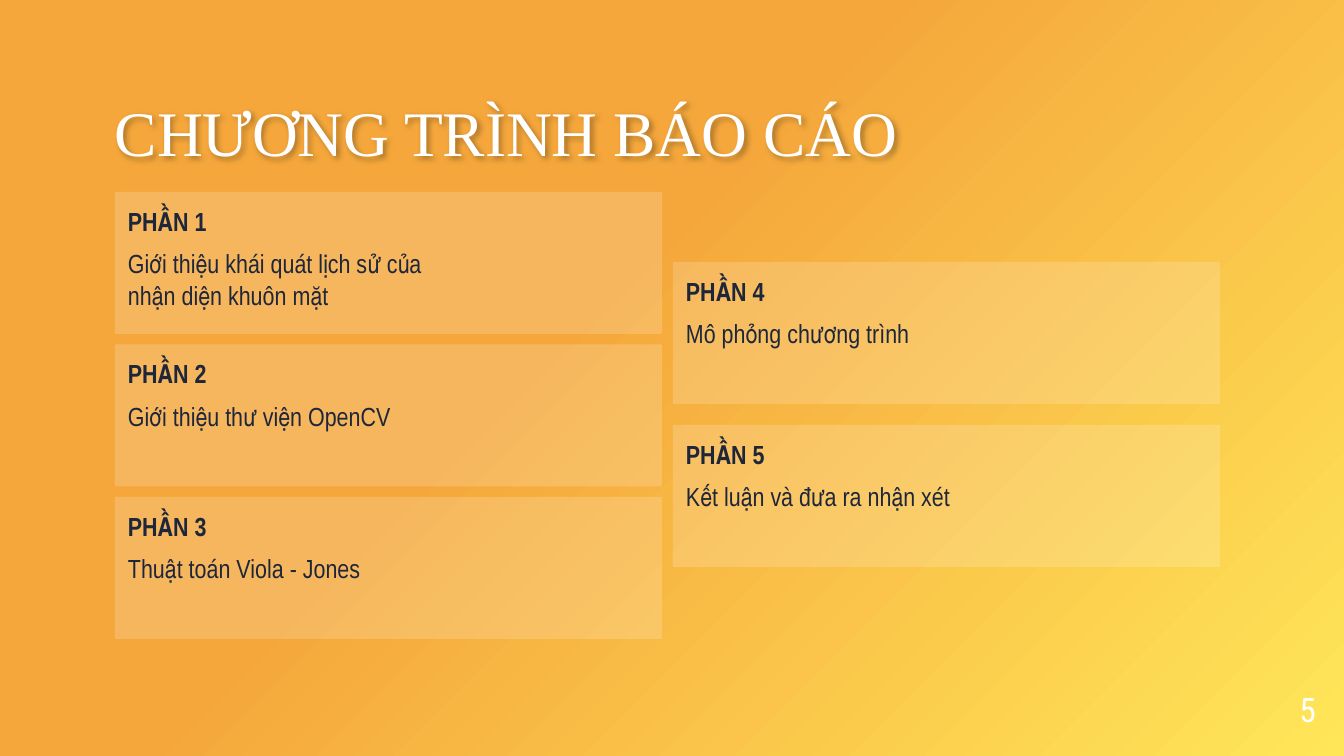
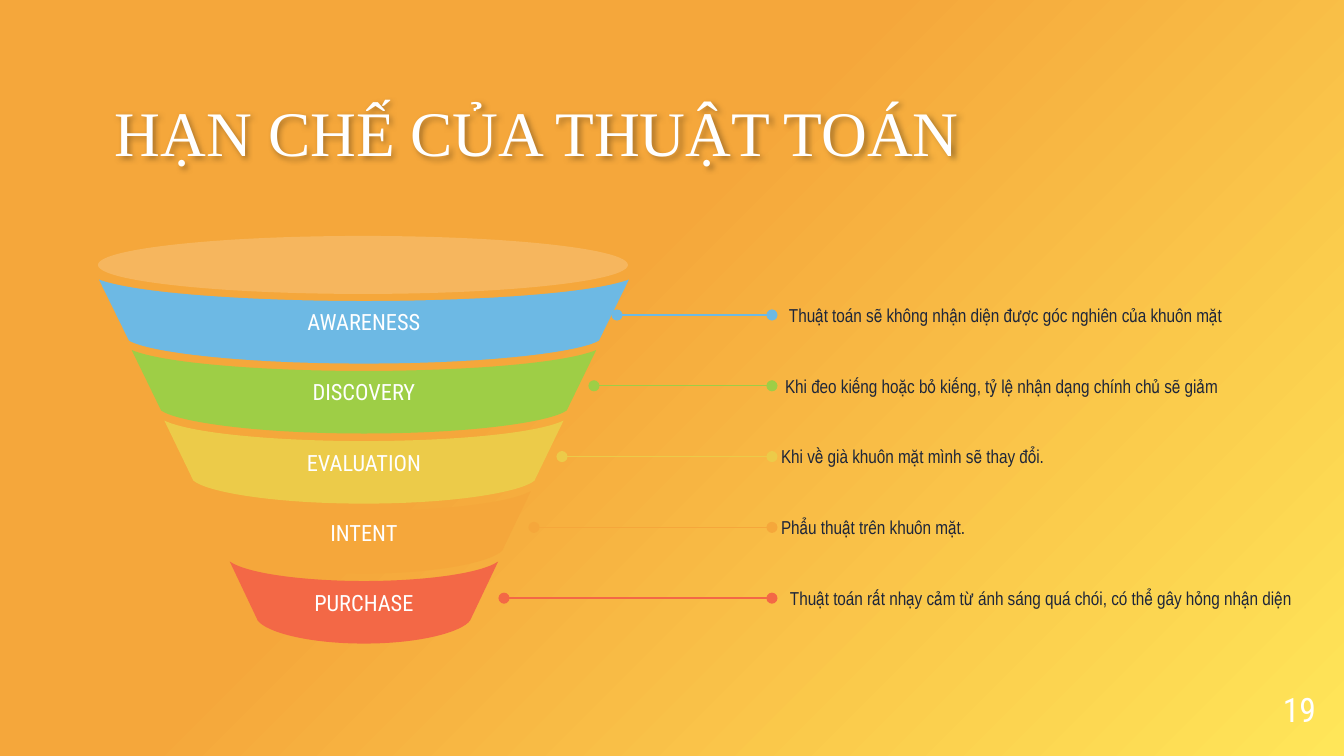
import pptx
import pptx.dml.color
import pptx.enum.shapes
import pptx.enum.text
import pptx.oxml
import pptx.oxml.ns
import pptx.util

SCALE = 914400 / 134.4  # EMU in one px
COLORS = {
    "white": "FFFFFF",
    "ink": "1E263A",
    "shadow": "000000",
    "orange": "F5A73B",
    "yellow": "FFE659",
    "blue": "6DB9E4",
    "green": "9ECE46",
    "gold": "ECCB49",
    "red": "F36846",
}
TITLE_FONT, TEXT_FONT, LABEL_FONT = "Times New Roman", "Arial Narrow", "Roboto Condensed"
TITLE_BOX = (115, 91, 1116, 79)
NUMBER_BOX = (1236, 683, 80, 47)
VEIL = 18  # opacity of the white panels, percent

SECTIONS = [
    ("PHẦN 1", "Giới thiệu khái quát lịch sử của nhận diện khuôn mặt"),
    ("PHẦN 2", "Giới thiệu thư viện OpenCV"),
    ("PHẦN 3", "Thuật toán Viola - Jones"),
    ("PHẦN 4", "Mô phỏng chương trình"),
    ("PHẦN 5", "Kết luận và đưa ra nhận xét"),
]
# Band name, colour, start of its leader, indent and width of its note, note
STAGES = [
    ("AWARENESS", "blue", 617, 8, 499,
     "Thuật toán sẽ không nhận diện được góc nghiên của khuôn mặt"),
    ("DISCOVERY", "green", 594, 4, 499,
     "Khi đeo kiếng hoặc bỏ kiếng, tỷ lệ nhận dạng chính chủ sẽ giảm"),
    ("EVALUATION", "gold", 562, 0, 410, "Khi về già khuôn mặt mình sẽ thay đổi."),
    ("INTENT", "orange", 534, 0, 410, "Phẩu thuật trên khuôn mặt."),
    ("PURCHASE", "red", 504, 9, 562,
     "Thuật toán rất nhạy cảm từ ánh sáng quá chói, có thể gây hỏng nhận diện"),
]

ALIGN = pptx.enum.text.PP_ALIGN
ANCHOR = pptx.enum.text.MSO_ANCHOR
SHAPE = pptx.enum.shapes.MSO_SHAPE


def px(length):
    return pptx.util.Emu(round(length * SCALE))


def emu_box(box):
    return [px(length) for length in box]


def rgb(name):
    return pptx.dml.color.RGBColor.from_string(COLORS[name])


def xml(tag, content="", attributes=""):
    namespace = pptx.oxml.ns.nsdecls("a")
    return pptx.oxml.parse_xml(f"<a:{tag} {namespace} {attributes}>{content}</a:{tag}>")


def paint(shape, color, opacity=None):
    shape.shadow.inherit = False
    shape.fill.solid()
    shape.fill.fore_color.rgb = rgb(color)
    shape.line.fill.background()
    if opacity is not None:
        swatch = shape.element.spPr.find(".//" + pptx.oxml.ns.qn("a:srgbClr"))
        swatch.append(xml("alpha", attributes=f'val="{opacity * 1000}"'))


def set_frame(shape, anchor, margins=(0, 0, 0, 0)):
    frame = shape.text_frame
    frame.word_wrap = True
    frame.auto_size = pptx.enum.text.MSO_AUTO_SIZE.NONE
    frame.vertical_anchor = anchor
    (frame.margin_left, frame.margin_top,
     frame.margin_right, frame.margin_bottom) = emu_box(margins)
    return frame


def style(para, font, size, color, align=ALIGN.LEFT, bold=False, spacing=None):
    para.alignment = align
    para.line_spacing = spacing
    for span in para.runs:
        span.font.name = font
        span.font.size = pptx.util.Pt(size)
        span.font.bold = bold
        span.font.color.rgb = rgb(color)


def set_background(master):
    """Gradient spreading from the lower right corner, shared by all slides."""
    master.background.fill.gradient()
    gradient = master.element.xpath("p:cSld/p:bg/p:bgPr/a:gradFill")[0]
    stops = "".join(
        f'<a:gs pos="{position * 1000}"><a:srgbClr val="{COLORS[name]}"/></a:gs>'
        for position, name in ((0, "yellow"), (58, "orange"), (100, "orange")))
    corner = '<a:path path="circle"><a:fillToRect l="100000" t="100000"/></a:path>'
    gradient.getparent().replace(
        gradient, xml("gradFill", f"<a:gsLst>{stops}</a:gsLst>{corner}"))


def add_page(deck, heading, number):
    """Slide with the shared title and page number."""
    page = deck.slides.add_slide(deck.slide_layouts[5])
    title = page.shapes.title
    title.left, title.top, title.width, title.height = emu_box(TITLE_BOX)
    frame = set_frame(title, ANCHOR.BOTTOM)
    frame.text = heading
    style(frame.paragraphs[0], TITLE_FONT, 34, "white", spacing=0.9)
    shade = f'<a:srgbClr val="{COLORS["shadow"]}"><a:alpha val="30000"/></a:srgbClr>'
    title.element.spPr.append(xml(
        "effectLst",
        f'<a:outerShdw blurRad="38100" dist="19050" dir="2700000">{shade}</a:outerShdw>'))

    frame = set_frame(page.shapes.add_textbox(*emu_box(NUMBER_BOX)), ANCHOR.BOTTOM)
    frame.text = str(number)
    style(frame.paragraphs[0], LABEL_FONT, 18, "white", ALIGN.RIGHT, spacing=0.9)
    return page


def add_cards(page, sections, left, top, bottom):
    """Column of translucent cards spread evenly from top to bottom."""
    width, height = 547, 142
    pitch = (bottom - top - height) / (len(sections) - 1)
    for row, (heading, detail) in enumerate(sections):
        box = (left, top + row * pitch, width, height)
        card = page.shapes.add_shape(SHAPE.RECTANGLE, *emu_box(box))
        paint(card, "white", VEIL)
        frame = set_frame(card, ANCHOR.TOP, (13, 13, 202, 13))
        frame.text = f"{heading}\n{detail}"
        head, body = frame.paragraphs
        style(head, TEXT_FONT, 14, "ink", bold=True)
        style(body, TEXT_FONT, 14, "ink")
        body.space_before = body.space_after = pptx.util.Pt(6)


def bowl_curve(center, half, edge, sag, inner, outer, rise):
    """Ends and Bezier handles, from left to right, of a hanging curve.

    inner and outer place the handles as shares of the half width,
    rise is the share of the sag reached at the outer handle.
    """
    knots = [(-1, 0), (-outer, rise), (-inner, 1), (0, 1), (inner, 1), (outer, rise), (1, 0)]
    return [(px(center + half * x), px(edge + sag * y)) for x, y in knots]


def bend(band):
    """Turn the outline's two bowls into curves, keeping the straight sides."""
    lines = band.element.spPr.findall(".//" + pptx.oxml.ns.qn("a:lnTo"))
    for first in (0, 3, 7, 10):
        trio = lines[first:first + 3]
        curve = xml("cubicBezTo")
        trio[0].addprevious(curve)
        for line in trio:
            curve.append(line[0])
            line.getparent().remove(line)


def add_funnel(page, left, top):
    """Translucent rim over five narrowing bands."""
    group = page.shapes.add_group_shape()
    center = left + 266
    for row, (name, color, *_) in enumerate(STAGES):
        half, edge, shrink = 265 - 32.7 * row, top + 43.6 + 70.5 * row, row / 2
        upper = bowl_curve(center, half, edge, 21.5 - shrink, 0.42, 0.86, 0.65)
        lower = bowl_curve(center, half - 30 + shrink, edge + 61 - shrink, 23, 0.53, 0.92, 0.5)
        points = upper + lower[::-1]
        builder = group.shapes.build_freeform(*points[0])
        builder.add_line_segments(points[1:], close=True)
        band = builder.convert_to_shape()
        bend(band)
        paint(band, color)
        frame = set_frame(band, ANCHOR.MIDDLE, (9, 5, 9, 5))
        frame.text = name
        style(frame.paragraphs[0], LABEL_FONT, 12, "white", ALIGN.CENTER)
    rim = group.shapes.add_shape(SHAPE.OVAL, *emu_box((left, top, 530, 58)))
    paint(rim, "white", VEIL)


def add_notes_column(page, left, top):
    """Leader lines ending left of the remarks."""
    height = 51
    for row, (_, color, start, indent, width, remark) in enumerate(STAGES):
        middle = top + 70.8 * row
        leader = page.shapes.add_connector(
            pptx.enum.shapes.MSO_CONNECTOR.STRAIGHT,
            px(start), px(middle), px(left - 9), px(middle))
        leader.line.color.rgb = rgb(color)
        leader.line.width = pptx.util.Pt(0.75)
        outline = leader.element.spPr.find(pptx.oxml.ns.qn("a:ln"))
        for end in ("headEnd", "tailEnd"):
            outline.append(xml(end, attributes='type="oval"'))
        leader.element.spPr.append(xml("effectLst"))

        box = (left, middle - height / 2, width, height)
        note = page.shapes.add_textbox(*emu_box(box))
        frame = set_frame(note, ANCHOR.MIDDLE, (indent, 0, 0, 0))
        frame.text = remark
        style(frame.paragraphs[0], TEXT_FONT, 10, "ink")


def add_agenda(deck):
    page = add_page(deck, "CHƯƠNG TRÌNH BÁO CÁO", 5)
    add_cards(page, SECTIONS[:3], 115, 192, 639)
    add_cards(page, SECTIONS[3:], 673, 262, 567)


def add_limits(deck):
    page = add_page(deck, "HẠN CHẾ CỦA THUẬT TOÁN", 19)
    add_funnel(page, 98, 236)
    add_notes_column(page, 781, 315)


def main():
    deck = pptx.Presentation()
    deck.slide_width, deck.slide_height = px(1344), px(756)
    set_background(deck.slide_master)
    add_agenda(deck)
    add_limits(deck)
    deck.save("out.pptx")


if __name__ == "__main__":
    main()
